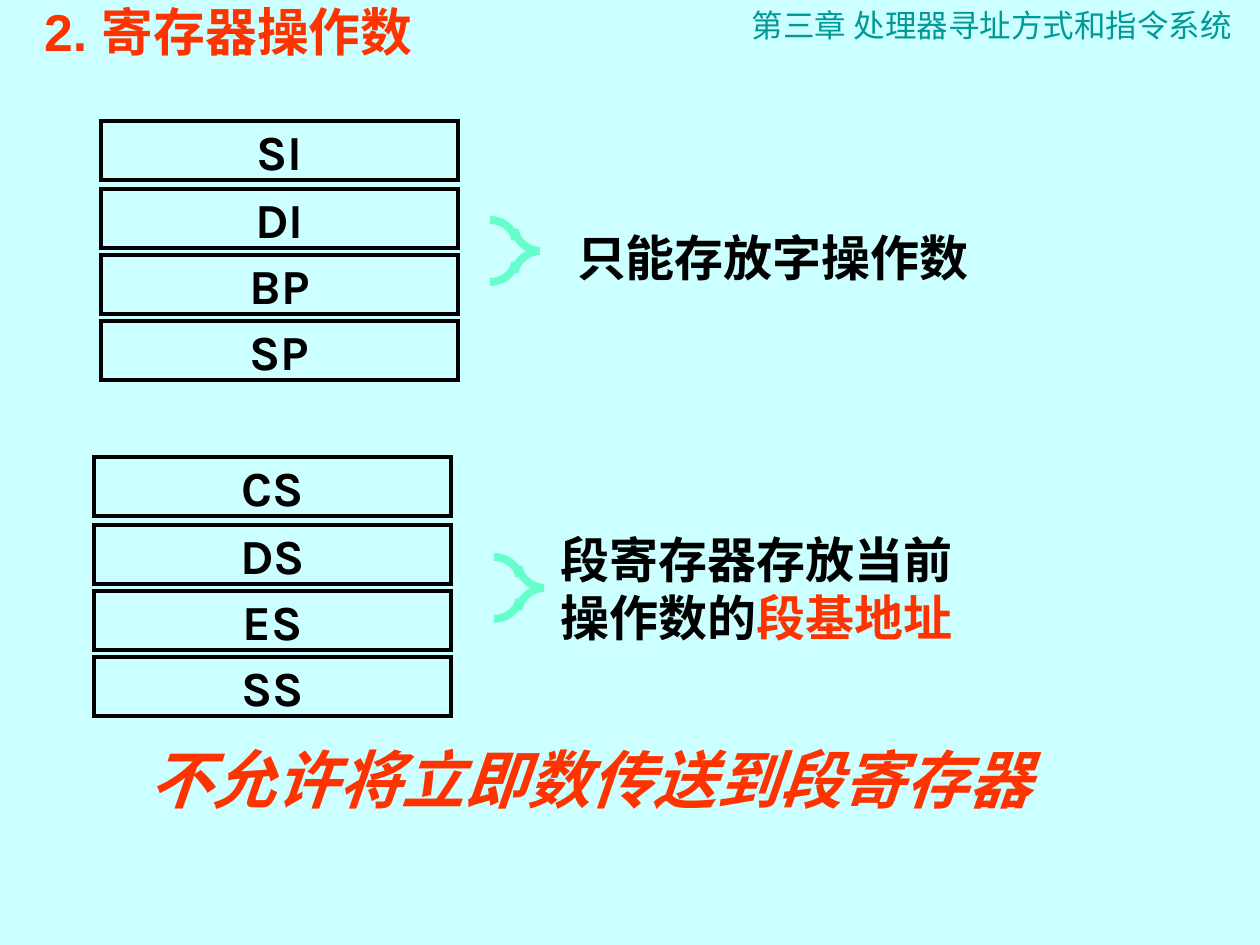
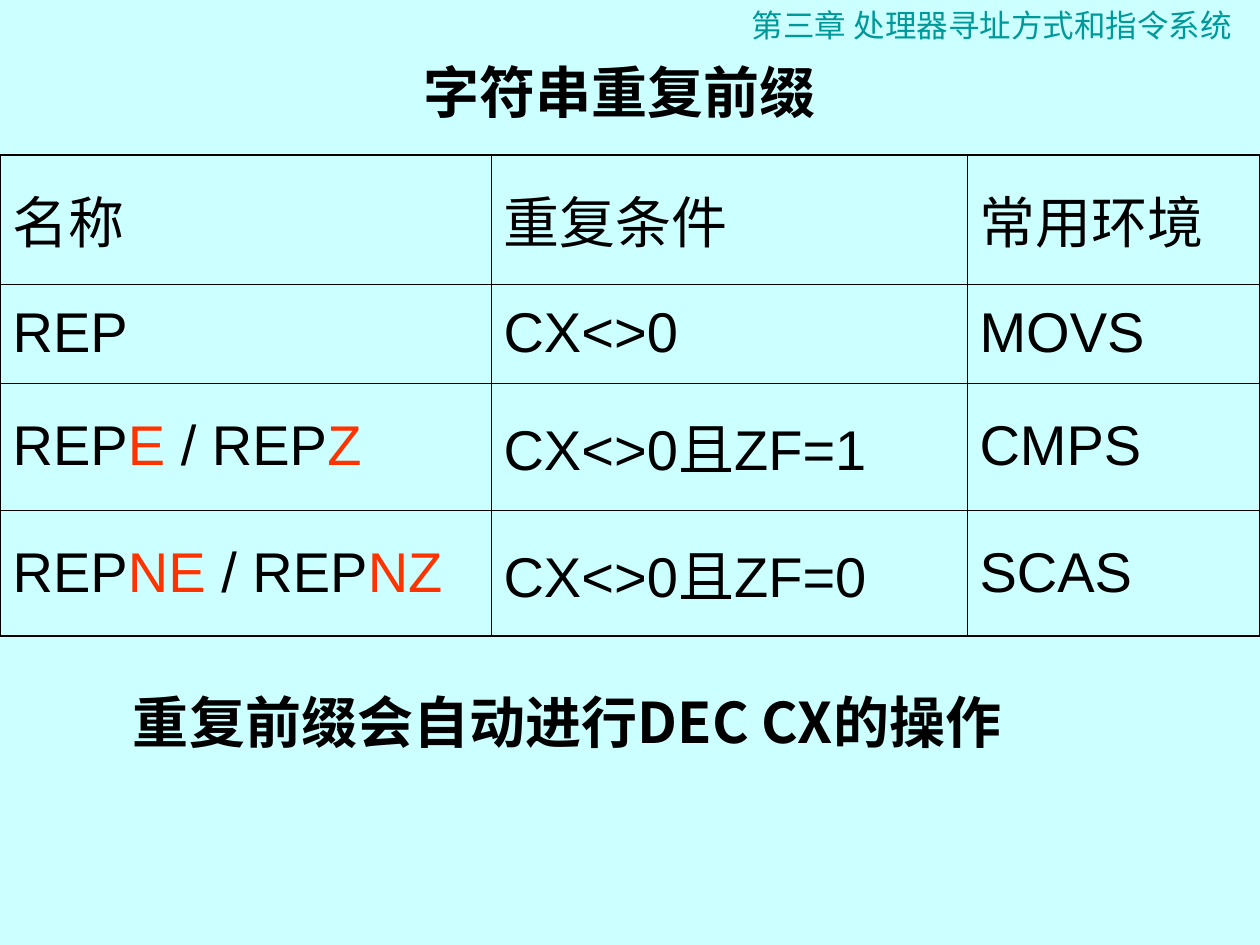
from lxml import etree
from pptx import Presentation
from pptx import util as u
from pptx.dml.color import RGBColor
from pptx.enum import shapes, text
from pptx.oxml.ns import qn

PX = 914400 / 126
COLORS = {
    "bg": "CCFFFF",
    "header": "009999",
    "accent": "FF3300",
    "ink": "000000",
    "brace": "66FFCC",
}
CJK = "Noto Sans CJK SC"
ROW_PITCH = 66
FIRST_GAP = 2
BRACE_HEIGHT = 62
BRACE_CURVES = [
    [(0, 0), (13, 0), (25, 10), (25, 20)],
    [(25, 9), (25, 20), (38, 31), (50, 31)],
]


def px(n):
    return u.Emu(round(n * PX))


def rgb(name):
    return RGBColor.from_string(COLORS[name])


def write(p, parts, size, font="Arial", bold=False, italic=False, align="LEFT"):
    p.alignment = getattr(text.PP_ALIGN, align)
    for words, color in parts:
        r = p.add_run()
        r.text = words
        f = r.font
        f.name, f.size, f.bold, f.italic = font, u.Pt(size), bold, italic
        f.color.rgb = rgb(color)
        ea = etree.SubElement(r._r.get_or_add_rPr(), qn("a:ea"))
        ea.set("typeface", CJK)


def set_frame(tf, inset=(0, 0), anchor="TOP"):
    tf.word_wrap = True
    tf.margin_left = tf.margin_right = px(inset[0])
    tf.margin_top = tf.margin_bottom = px(inset[1])
    tf.vertical_anchor = getattr(text.MSO_ANCHOR, anchor)


def set_outline(sp, color, width):
    sp.shadow.inherit = False
    sp.fill.background()
    sp.line.color.rgb = rgb(color)
    sp.line.width = u.Pt(width)
    etree.SubElement(sp.line._get_or_add_ln(), qn("a:miter"), lim="800000")


def add_text(s, box, parts, size, inset=(0, 0), anchor="TOP", **style):
    sp = s.shapes.add_textbox(*map(px, box))
    set_frame(sp.text_frame, inset, anchor)
    p = sp.text_frame.paragraphs[0]
    write(p, parts, size, **style)
    return p


def add_register(s, name, left, top):
    sp = s.shapes.add_shape(shapes.MSO_SHAPE.RECTANGLE, *map(px, (left, top, 357, 59)))
    set_outline(sp, "ink", 2.25)
    set_frame(sp.text_frame, anchor="MIDDLE")
    write(sp.text_frame.paragraphs[0], [(name, "ink")], 28, "Karla", bold=True, align="CENTER")


def add_register_stack(s, names, left, top):
    for i, name in enumerate(names):
        add_register(s, name, left, top + i * ROW_PITCH + (FIRST_GAP if i else 0))


def bezier(points, steps=12):
    for k in range(steps + 1):
        t = k / steps
        weights = ((1 - t) ** 3, 3 * t * (1 - t) ** 2, 3 * t * t * (1 - t), t ** 3)
        yield tuple(sum(w * pt[axis] for w, pt in zip(weights, points)) for axis in (0, 1))


def add_brace(s, left, top):
    upper = [pt for curve in BRACE_CURVES for pt in bezier(curve)]
    lower = [(x, BRACE_HEIGHT - y) for x, y in reversed(upper)]
    outline = [(px(left + x), px(top + y)) for x, y in upper + lower[1:]]
    fb = s.shapes.build_freeform(*outline[0])
    fb.add_line_segments(outline[1:], close=False)
    set_outline(fb.convert_to_shape(), "brace", 4.5)


def set_borders(cell, outer_sides):
    tc_pr = cell._tc.get_or_add_tcPr()
    for side in "LRTB":
        width = u.Pt(1.08 if side in outer_sides else 0.45)
        ln = etree.SubElement(tc_pr, qn(f"a:ln{side}"), w=str(width))
        fill = etree.SubElement(ln, qn("a:solidFill"))
        etree.SubElement(fill, qn("a:srgbClr"), val=COLORS["ink"])


def add_grid(s, left, top, widths, heights, rows):
    box = map(px, (left, top, sum(widths), sum(heights)))
    tbl = s.shapes.add_table(len(rows), len(widths), *box).table
    tbl.first_row = tbl.horz_banding = False
    for col, width in zip(tbl.columns, widths):
        col.width = px(width)
    for row, height in zip(tbl.rows, heights):
        row.height = px(height)
    for i, row in enumerate(rows):
        for j, parts in enumerate(row):
            cell = tbl.cell(i, j)
            edges = {"L": j == 0, "R": j == len(widths) - 1,
                     "T": i == 0, "B": i == len(rows) - 1}
            set_borders(cell, [side for side, outer in edges.items() if outer])
            cell.fill.background()
            cell.vertical_anchor = text.MSO_ANCHOR.MIDDLE
            parts = [(parts, "ink")] if isinstance(parts, str) else parts
            write(cell.text_frame.paragraphs[0], parts, 32)


def repeat_pair(first, second):
    return [("REP", "ink"), (first + " ", "accent"), ("/ REP", "ink"), (second, "accent")]


def add_slide(prs):
    s = prs.slides.add_slide(prs.slide_layouts[6])
    s.background.fill.solid()
    s.background.fill.fore_color.rgb = rgb("bg")
    add_text(s, (739, 0, 510, 50), [("第三章 处理器寻址方式和指令系统", "header")], 18, (13, 6))
    return s


def build_registers(prs):
    s = add_slide(prs)
    p = add_text(s, (31, 11, 462, 63), [("2. 寄存器操作数", "accent")], 29.6, (13, 6), bold=True)
    p.line_spacing = 0.7

    note = {"size": 28, "font": "Times New Roman", "bold": True}
    add_register_stack(s, ["SI", "DI", "BP", "SP"], 101, 121)
    add_brace(s, 490, 220)
    add_text(s, (577, 228, 546, 59), [("只能存放字操作数", "ink")], **note)

    add_register_stack(s, ["CS", "DS", "ES", "SS"], 94, 457)
    add_brace(s, 494, 557)
    add_text(s, (561, 529, 404, 117),
             [("段寄存器存放当前操作数的", "ink"), ("段基地址", "accent")], **note)

    add_text(s, (70, 741, 1040, 76), [("不允许将立即数传送到段寄存器", "accent")], 36,
             font="Times New Roman", bold=True, italic=True, align="CENTER")


def build_prefixes(prs):
    s = add_slide(prs)
    add_text(s, (84, 38, 1071, 106), [("字符串重复前缀", "ink")], 32, (13, 6),
             anchor="MIDDLE", bold=True, align="CENTER")
    rows = [
        ["名称", "重复条件", "常用环境"],
        ["REP", "CX<>0", "MOVS"],
        [repeat_pair("E", "Z"), "CX<>0且ZF=1", "CMPS"],
        [repeat_pair("NE", "NZ"), "CX<>0且ZF=0", "SCAS"],
    ]
    add_grid(s, 0, 155, [491, 476, 293], [129, 99, 127, 126], rows)
    add_text(s, (120, 681, 1100, 79), [("重复前缀会自动进行DEC CX的操作", "ink")], 32, (13, 6),
             font=CJK, bold=True)


def main():
    prs = Presentation()
    prs.slide_width, prs.slide_height = px(1260), px(945)
    build_registers(prs)
    build_prefixes(prs)
    prs.save("out.pptx")


if __name__ == "__main__":
    main()
